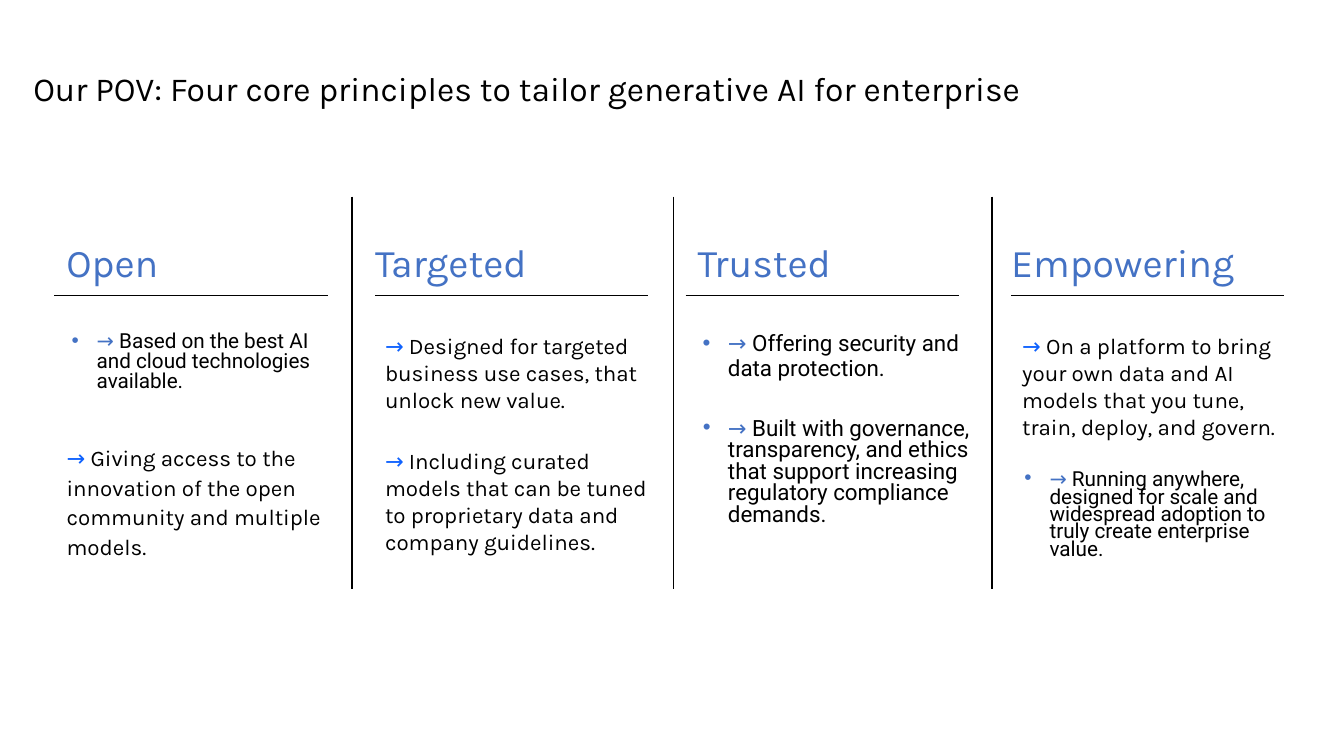
from dataclasses import dataclass

from lxml import etree
from pptx import Presentation
from pptx import util as u
from pptx.dml.color import RGBColor
from pptx.enum import shapes, text
from pptx.oxml.ns import qn


@dataclass(frozen=True)
class Theme:
    black: str = "000000"
    heading_blue: str = "4472C4"
    arrow_blue: str = "0F62FE"
    font: str = "Karla"
    bullet_font: str = "Roboto"
    title_size: float = 24
    heading_size: float = 28
    body_size: float = 16
    small_size: float = 14.8
    line_width: float = 1


THEME = Theme()
HEADING_TOP, HEADING_HEIGHT = 2.32, 0.69
RULE_TOP, RULE_WIDTH = 2.93, 2.71
DIVIDER_TOP, DIVIDER_BOTTOM = 1.95, 5.84
DIVIDERS = (3.49, 6.68, 9.84)

# Heading, heading left, heading width, rule left
COLUMNS = (
    ("Open", 0.66, 1.26, 0.54),
    ("Targeted", 3.72, 1.91, 3.72),
    ("Trusted", 6.92, 1.91, 6.8),
    ("Empowering", 10.03, 2.34, 10.03),
)

# Statement, box, text settings
PLAIN_STATEMENTS = (
    ("Giving access to the innovation of the open community and multiple models.",
     (0.66, 4.38, 2.68, 0.94), {"inset": (0, 0), "spacing": 1.1}),
    ("Designed for targeted business use cases, that unlock new value.",
     (3.72, 3.25, 2.98, 0.91), {"inset": (0.1, 0.05)}),
    ("Including curated models that can be tuned to proprietary data and company guidelines.",
     (3.72, 4.39, 2.82, 1.18), {"inset": (0.1, 0.05)}),
    ("On a platform to bring your own data and AI models that you tune, train, deploy, and govern.",
     (10.04, 3.25, 2.88, 1.18), {"inset": (0.1, 0.05)}),
)

# Statement, box, size, line spacing
BULLET_STATEMENTS = (
    ("Based on the best AI and cloud technologies available.",
     (0.66, 3.25, 2.56, 0.76), THEME.small_size, 0.8),
    ("Offering security and data protection.",
     (6.92, 3.25, 2.74, 0.6), THEME.body_size, 0.9),
    ("Built with governance, transparency, and ethics that support increasing regulatory compliance demands.",
     (6.92, 4.11, 2.81, 1.45), THEME.body_size, 0.8),
    ("Running anywhere, designed for scale and widespread adoption to truly create enterprise value.",
     (10.11, 4.64, 2.9, 0.99), THEME.small_size, 0.7),
)


def set_attributes(target, values):
    for name, value in values.items():
        setattr(target, name, value)


def add_text(slide, box, runs, size, font=THEME.font, inset=(0, 0), spacing=1.0):
    """Add a one-paragraph text box; runs are (wording, colour) pairs."""
    frame = slide.shapes.add_textbox(*map(u.Inches, box)).text_frame
    side, end = map(u.Inches, inset)
    set_attributes(frame, {
        "word_wrap": True,
        "vertical_anchor": text.MSO_ANCHOR.TOP,
        "margin_left": side, "margin_right": side,
        "margin_top": end, "margin_bottom": end,
    })
    paragraph = frame.paragraphs[0]
    paragraph.line_spacing = spacing
    for wording, colour in runs:
        run = paragraph.add_run()
        run.text = wording
        set_attributes(run.font, {"name": font, "size": u.Pt(size)})
        run.font.color.rgb = RGBColor.from_string(colour)
    return paragraph


def add_bullet(paragraph, colour, indent=0.25):
    properties = paragraph._p.get_or_add_pPr()
    properties.set("marL", str(u.Inches(indent)))
    properties.set("indent", str(-u.Inches(indent)))
    bullet_colour = etree.SubElement(properties, qn("a:buClr"))
    etree.SubElement(bullet_colour, qn("a:srgbClr"), val=colour)
    etree.SubElement(properties, qn("a:buFont"), typeface="Arial")
    etree.SubElement(properties, qn("a:buChar"), char="•")


def arrow_runs(statement, arrow_colour):
    return ("→ ", arrow_colour), (statement, THEME.black)


def add_line(slide, start, end):
    line = slide.shapes.add_connector(
        shapes.MSO_CONNECTOR.STRAIGHT, *map(u.Inches, start + end))
    line.line.color.rgb = RGBColor.from_string(THEME.black)
    line.line.width = u.Pt(THEME.line_width)
    etree.SubElement(line._element.spPr, qn("a:effectLst"))


def add_column_heading(slide, heading, left, width, rule_left):
    add_text(slide, (left, HEADING_TOP, width, HEADING_HEIGHT),
             [(heading, THEME.heading_blue)], THEME.heading_size, spacing=1.1)
    add_line(slide, (rule_left, RULE_TOP), (rule_left + RULE_WIDTH, RULE_TOP))


def main():
    presentation = Presentation()
    set_attributes(presentation, {"slide_width": u.Inches(13.33),
                                  "slide_height": u.Inches(7.5)})
    slide = presentation.slides.add_slide(presentation.slide_layouts[6])

    # Title
    title = "Our POV: Four core principles to tailor generative AI for enterprise"
    add_text(slide, (0.33, 0.67, 12.18, 0.6), [(title, THEME.black)], THEME.title_size)

    # Column headings and dividers
    for column in COLUMNS:
        add_column_heading(slide, *column)
    for left in DIVIDERS:
        add_line(slide, (left, DIVIDER_TOP), (left, DIVIDER_BOTTOM))

    # Statements
    for statement, box, settings in PLAIN_STATEMENTS:
        add_text(slide, box, arrow_runs(statement, THEME.arrow_blue),
                 THEME.body_size, **settings)
    for statement, box, size, spacing in BULLET_STATEMENTS:
        paragraph = add_text(slide, box, arrow_runs(statement, THEME.heading_blue), size,
                             THEME.bullet_font, (0.05, 0.05), spacing)
        add_bullet(paragraph, THEME.heading_blue)

    presentation.save("out.pptx")


if __name__ == "__main__":
    main()
